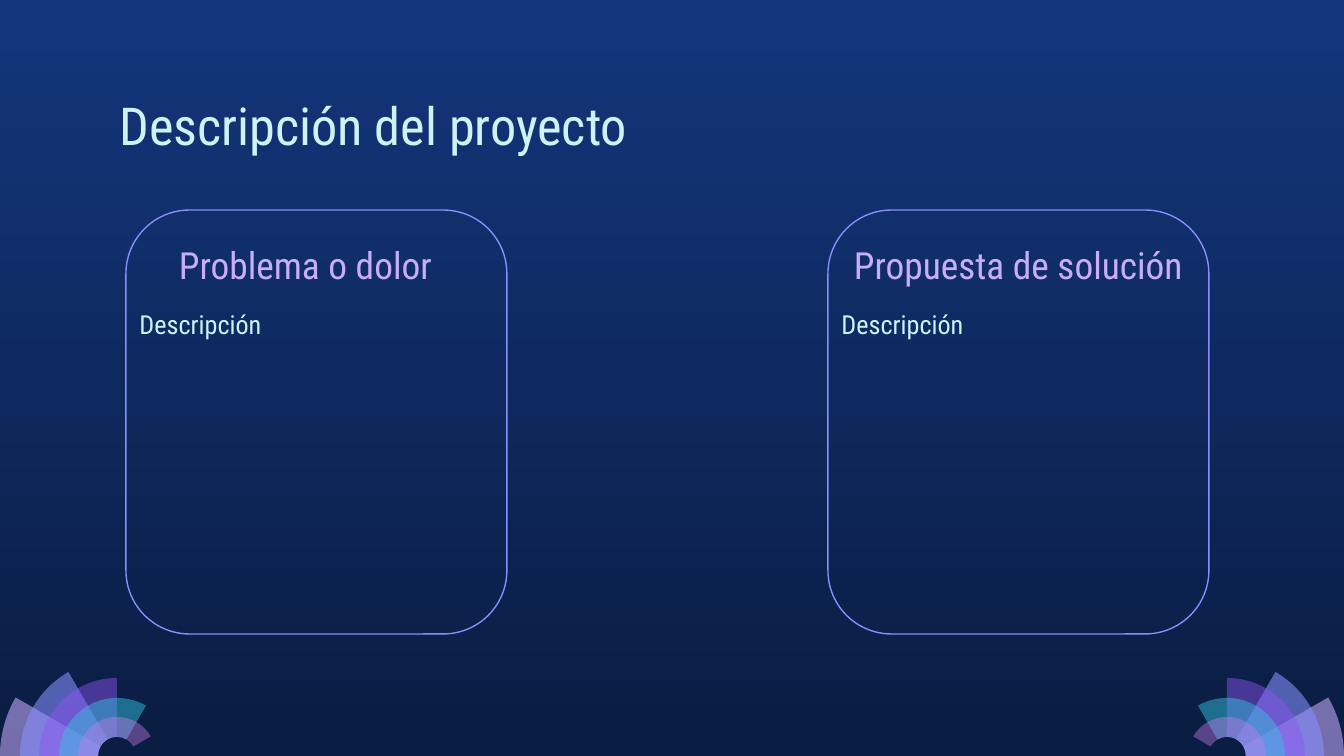
from math import cos, radians, sin, tan

from pptx import Presentation
from pptx.dml.color import RGBColor
from pptx.enum.shapes import MSO_SHAPE as SHAPE
from pptx.enum.text import MSO_ANCHOR as ANCHOR, MSO_AUTO_SIZE as AUTO_SIZE, PP_ALIGN as ALIGN
from pptx.oxml.ns import qn
from pptx.util import Pt
from lxml.etree import SubElement

PX = 914400 / 134.4
SLIDE_W, SLIDE_H = 1344, 756
FONT = "Roboto Condensed"

SKY = RGBColor(0x13, 0x36, 0x7C)
NIGHT = RGBColor(0x0A, 0x1D, 0x42)
ICE = RGBColor(0xCE, 0xF3, 0xF5)
LILAC = RGBColor(0xC8, 0xAE, 0xF8)
PERIWINKLE = RGBColor(0x87, 0x8F, 0xFF)

# Petals of a fan: outer radius, sweep in degrees, colour, opacity in percent
PETALS = [
    (117, 30, RGBColor(0xC8, 0xAC, 0xFD), 57),
    (97, 60, PERIWINKLE, 58),
    (78, 90, RGBColor(0x91, 0x54, 0xF8), 46),
    (58, 120, RGBColor(0x35, 0xC2, 0xDF), 49),
    (39, 150, RGBColor(0xCA, 0x7B, 0xEB), 42),
]
HUB = 19


def px(n):
    return round(n * PX)


def paint_background(slide):
    fill = slide.background.fill
    fill.gradient()
    fill.gradient_angle = 270
    for stop, color in zip(fill.gradient_stops, (SKY, NIGHT)):
        stop.color.rgb = color


def bend_edges(sp, knots, locate):
    """Turn each straight edge between knots of equal radius into a circular arc."""
    edges = list(sp._element.iter(qn("a:lnTo")))
    for edge, (radius, start), (end_radius, end) in zip(edges, knots, knots[1:]):
        if radius != end_radius:
            continue
        reach = 4 / 3 * tan(radians(end - start) / 4)
        controls = [locate(radius, start, reach), locate(radius, end, -reach)]
        edge.tag = qn("a:cubicBezTo")
        for i, (x, y) in enumerate(controls):
            pt = edge.makeelement(qn("a:pt"), x=str(x - sp.left), y=str(y - sp.top))
            edge.insert(i, pt)


def add_fan(slide, cx, cy, side):
    """Draw ring sectors around (cx, cy), opening from the slide edge; side is 1 or -1."""
    def locate(radius, angle, reach=0):
        """Point at an angle, moved along the tangent by reach times the radius."""
        a = radians(angle)
        return (px(cx - side * radius * (cos(a) - reach * sin(a))),
                px(cy - radius * (sin(a) + reach * cos(a))))

    for radius, sweep, color, opacity in PETALS:
        angles = [0, 90, sweep] if sweep > 90 else [0, sweep]
        knots = [(radius, a) for a in angles] + [(HUB, a) for a in reversed(angles)]
        points = [locate(*knot) for knot in knots]
        builder = slide.shapes.build_freeform(*points[0], scale=1.0)
        builder.add_line_segments(points[1:], close=False)
        sp = builder.convert_to_shape()
        bend_edges(sp, knots, locate)
        sp.shadow.inherit = False
        sp.line.fill.background()
        sp.fill.solid()
        sp.fill.fore_color.rgb = color
        clr = sp.fill._xPr.find(qn("a:solidFill"))[0]
        SubElement(clr, qn("a:alpha"), val=str(opacity * 1000))


def fill_placeholder(sp, box, text, size, color, anchor=ANCHOR.TOP, align=ALIGN.LEFT):
    sp.left, sp.top, sp.width, sp.height = map(px, box)
    tf = sp.text_frame
    tf.word_wrap = True
    tf.auto_size = AUTO_SIZE.NONE
    tf.vertical_anchor = anchor
    tf.margin_left = tf.margin_right = tf.margin_top = tf.margin_bottom = Pt(7.2)
    p = tf.paragraphs[0]
    p.alignment = align
    p.line_spacing = 1.0
    p.space_before = p.space_after = Pt(0)
    pPr = p._p.get_or_add_pPr()
    pPr.set("marL", "0")
    pPr.set("indent", "0")
    SubElement(pPr, qn("a:buNone"))
    r = p.add_run()
    r.text = text
    r.font.name = FONT
    r.font.size = Pt(size)
    r.font.bold = False
    r.font.color.rgb = color


def add_card(slide, box, heading, heading_sp, body_sp, heading_shift=0):
    x, y, w, h = box
    sp = slide.shapes.add_shape(SHAPE.ROUNDED_RECTANGLE, *map(px, box))
    sp.adjustments[0] = 0.167
    sp.shadow.inherit = False
    sp.fill.background()
    sp.line.color.rgb = PERIWINKLE
    sp.line.width = Pt(0.75)
    fill_placeholder(heading_sp, (x + heading_shift, y + 26, w, 58), heading, 20, LILAC,
                     ANCHOR.MIDDLE, ALIGN.CENTER)
    fill_placeholder(body_sp, (x, y + 85, w, 93), "Descripción", 14, ICE)


def main():
    prs = Presentation()
    prs.slide_width, prs.slide_height = px(SLIDE_W), px(SLIDE_H)
    comparison = prs.slide_layouts[4]
    slide = prs.slides.add_slide(comparison)
    title, left_head, left_body, right_head, right_body = slide.placeholders

    paint_background(slide)
    add_fan(slide, 117, SLIDE_H, 1)
    add_fan(slide, SLIDE_W - 117, SLIDE_H, -1)
    fill_placeholder(title, (106, 80, 1133, 84), "Descripción del proyecto", 28, ICE)
    add_card(slide, (126, 210, 381, 424), "Problema o dolor", left_head, left_body,
             heading_shift=-11)
    add_card(slide, (828, 210, 381, 424), "Propuesta de solución", right_head, right_body)
    prs.save("out.pptx")


if __name__ == "__main__":
    main()
